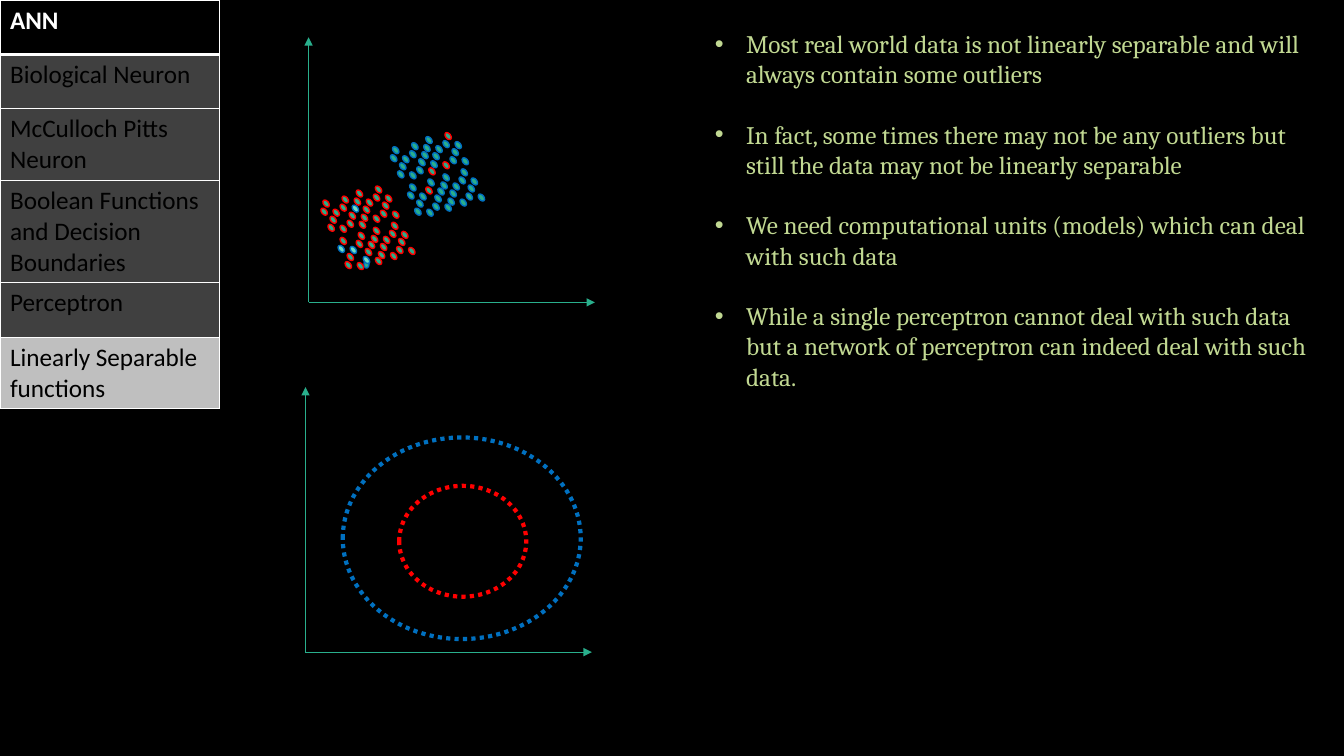
"""Builds a slide on data that a single perceptron cannot separate."""
from itertools import product

from pptx import Presentation
from pptx.dml.color import RGBColor
from pptx.enum.dml import MSO_LINE
from pptx.enum.shapes import MSO_CONNECTOR as Connector, MSO_SHAPE as Shape
from pptx.enum.text import MSO_AUTO_SIZE as AutoSize
from pptx.oxml.ns import qn
from pptx.util import Pt
from lxml.etree import SubElement, Element

PX = 9144
BLACK = RGBColor(0x00, 0x00, 0x00)
WHITE = RGBColor(0xFF, 0xFF, 0xFF)
DARK_GREY = RGBColor(0x40, 0x40, 0x40)
LIGHT_GREY = RGBColor(0xBF, 0xBF, 0xBF)
GREEN = RGBColor(0x29, 0xAF, 0x8C)
MINT = RGBColor(0x70, 0xDE, 0xC1)
BLUE = RGBColor(0x00, 0x70, 0xC0)
RED = RGBColor(0xFF, 0x00, 0x00)
LIME = RGBColor(0xC1, 0xD8, 0x92)

TOPICS = [
    ("ANN", BLACK),
    ("Biological Neuron", DARK_GREY),
    ("McCulloch Pitts Neuron", DARK_GREY),
    ("Boolean Functions and Decision Boundaries", DARK_GREY),
    ("Perceptron", DARK_GREY),
    ("Linearly Separable functions", LIGHT_GREY),
]
POINTS = [
    "Most real world data is not linearly separable and will always contain some outliers",
    "In fact, some times there may not be any outliers but still the data may not be linearly separable",
    "We need computational units (models) which can deal with such data",
    "While a single perceptron cannot deal with such data but a network of perceptron can indeed deal with such data.",
]

HALVES = [(0, 0), (33, -10)]
TRIPLETS = [(0, 0), (-7, -16), (-19, 4), (-26, -12),
            (-2, 41), (-9, 25), (16, 36), (9, 20)]
TRIPLET_DOTS = [(0, 0), (-2, 8), (10, 9)]


def write(paragraph, text, font="Calibri", size=18, color=BLACK, bold=False):
    run = paragraph.add_run()
    run.text = text
    run.font.name, run.font.size, run.font.bold = font, Pt(size), bold
    run.font.color.rgb = color


class Deck:
    def __init__(self, width, height, background):
        self.presentation = Presentation()
        self.presentation.slide_width = width * PX
        self.presentation.slide_height = height * PX
        blank = self.presentation.slide_layouts[6]
        self.slide = self.presentation.slides.add_slide(blank)
        self.slide.background.fill.solid()
        self.slide.background.fill.fore_color.rgb = background
        self.shapes = self.slide.shapes

    def ellipse(self, x, y, width, height, line, weight=1, fill=None, turn=0, dash=None):
        oval = self.shapes.add_shape(Shape.OVAL, x * PX, y * PX, width * PX, height * PX)
        oval.shadow.inherit = False
        oval.rotation = turn
        if fill is None:
            oval.fill.background()
        else:
            oval.fill.solid()
            oval.fill.fore_color.rgb = fill
        oval.line.color.rgb, oval.line.width = line, Pt(weight)
        if dash:
            oval.line.dash_style = dash

    def arrow(self, x1, y1, x2, y2):
        axis = self.shapes.add_connector(
            Connector.STRAIGHT, x1 * PX, y1 * PX, x2 * PX, y2 * PX)
        axis.line.color.rgb, axis.line.width = GREEN, Pt(0.5)
        properties = axis.element.spPr
        SubElement(properties.find(qn("a:ln")), qn("a:tailEnd"), type="triangle")
        SubElement(properties, qn("a:effectLst"))

    def axes(self, x, y):
        self.arrow(x, y, x + 284, y)
        self.arrow(x, y, x, y - 263)

    def cluster(self, x, y, line, outlier_line, outlier_fill, outliers):
        for number, offsets in enumerate(product(HALVES, TRIPLETS, TRIPLET_DOTS)):
            dx, dy = map(sum, zip(*offsets))
            odd = number in outliers
            self.ellipse(x + dx, y + dy, 5, 8, outlier_line if odd else line,
                         fill=outlier_fill if odd else GREEN, turn=320.7)

    def topic_table(self, x, y, width, row_height, topics):
        table = self.shapes.add_table(
            len(topics), 1, x * PX, y * PX, width * PX, row_height * len(topics) * PX).table
        for row, (topic, fill) in enumerate(topics):
            cell = table.cell(row, 0)
            header = row == 0
            write(cell.text_frame.paragraphs[0], topic,
                  color=WHITE if header else BLACK, bold=header)
            cell.fill.solid()
            cell.fill.fore_color.rgb = fill
            self.borders(cell, top=3 if row == 1 else 1, bottom=3 if header else 1)

    def borders(self, cell, top, bottom):
        properties = cell._tc.get_or_add_tcPr()
        weights = {"a:lnL": 1, "a:lnR": 1, "a:lnT": top, "a:lnB": bottom}
        for position, (side, weight) in enumerate(weights.items()):
            edge = Element(qn(side), w=str(Pt(weight)))
            SubElement(SubElement(edge, qn("a:solidFill")), qn("a:srgbClr"), val=str(WHITE))
            properties.insert(position, edge)

    def bullets(self, x, y, width, height, points):
        frame = self.shapes.add_textbox(x * PX, y * PX, width * PX, height * PX).text_frame
        frame.word_wrap = True
        frame.auto_size = AutoSize.SHAPE_TO_FIT_TEXT
        frame.margin_left = frame.margin_right = frame.margin_top = frame.margin_bottom = 0
        for number, point in enumerate(points):
            paragraph = frame.add_paragraph() if number else frame.paragraphs[0]
            paragraph.space_before = Pt(21.6 if number else 0)
            write(paragraph, point, font="Cambria", color=LIME)
            properties = paragraph._p.get_or_add_pPr()
            properties.set("marL", str(31 * PX))
            properties.set("indent", str(-31 * PX))
            SubElement(properties, qn("a:buFont"), typeface="Arial")
            SubElement(properties, qn("a:buChar"), char="•")


def main():
    deck = Deck(1333, 750, BLACK)
    deck.topic_table(0, 0, 218, 54, TOPICS)

    deck.axes(306, 300)
    deck.ellipse(361, 258, 5, 8, BLUE, fill=GREEN)
    deck.cluster(416, 157, BLUE, RED, GREEN, outliers={2, 22, 27, 32})
    deck.cluster(347, 210, RED, BLUE, MINT, outliers={5, 16, 17, 19})

    deck.axes(303, 647)
    deck.ellipse(340, 434, 236, 200, BLUE, weight=3, dash=MSO_LINE.ROUND_DOT)
    deck.ellipse(396, 482, 126, 110, RED, weight=3, dash=MSO_LINE.ROUND_DOT)

    deck.bullets(709, 28, 599, 454, POINTS)
    deck.presentation.save("out.pptx")


if __name__ == "__main__":
    main()
